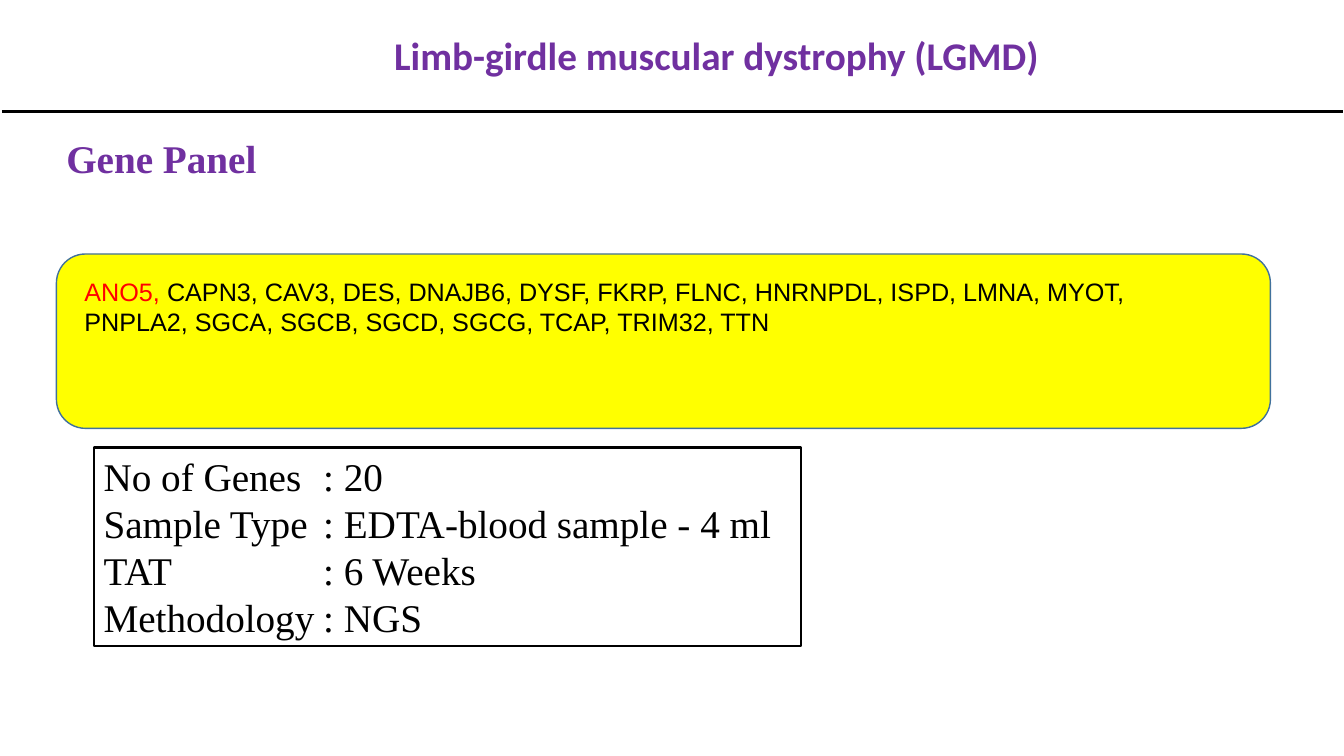
from pptx import Presentation
from pptx.dml.color import RGBColor
from pptx.enum.shapes import MSO_CONNECTOR, MSO_SHAPE
from pptx.enum.text import MSO_ANCHOR, PP_ALIGN
from pptx.oxml.ns import qn
from pptx.util import Inches, Pt
from lxml.etree import SubElement

PURPLE, BLACK, RED, YELLOW, BLUE = "7030A0", "000000", "FF0000", "FFFF00", "41719C"
SERIF = "Times New Roman"
GENES = ("CAPN3, CAV3, DES, DNAJB6, DYSF, FKRP, FLNC, HNRNPDL, ISPD, LMNA, MYOT, "
         "PNPLA2, SGCA, SGCB, SGCD, SGCG, TCAP, TRIM32, TTN")
DETAILS = [("No of Genes", "20"), ("Sample Type", "EDTA-blood sample - 4 ml"),
           ("TAT", "6 Weeks"), ("Methodology", "NGS")]


def color(value):
    """Turn a hex string into a color."""
    return RGBColor.from_string(value)


def set_font(font, name, size, value, bold=False):
    """Set the face, size, color and weight of a font."""
    font.name, font.size, font.bold = name, Pt(size), bold
    font.color.rgb = color(value)


def add_text_box(page, box):
    """Add a wrapping text box and return its text frame."""
    frame = page.shapes.add_textbox(*map(Inches, box)).text_frame
    frame.word_wrap = True
    return frame


def add_panel(page, preset, box, line, width, fill=None):
    """Add an outlined shape without shadow."""
    panel = page.shapes.add_shape(preset, *map(Inches, box))
    panel.shadow.inherit = False
    if fill:
        panel.fill.solid()
        panel.fill.fore_color.rgb = color(fill)
    else:
        panel.fill.background()
    panel.line.color.rgb = color(line)
    panel.line.width = Pt(width)
    return panel


def add_heading(page, box, text, font_name, align=PP_ALIGN.LEFT, anchor=MSO_ANCHOR.TOP):
    """Add a bold purple heading."""
    frame = add_text_box(page, box)
    frame.vertical_anchor = anchor
    para = frame.paragraphs[0]
    para.text, para.alignment = text, align
    set_font(para.font, font_name, 28, PURPLE, True)


def add_title(page, box):
    """Add the centred title with a rule under it."""
    left, top, width, height = box
    add_heading(page, (left + 1.36, top, 11.5, height),
                "Limb-girdle muscular dystrophy\u00a0(LGMD)", "Calibri",
                PP_ALIGN.CENTER, MSO_ANCHOR.MIDDLE)
    level = Inches(top + height + 0.02)
    rule = page.shapes.add_connector(MSO_CONNECTOR.STRAIGHT, Inches(left + 0.02), level,
                                     Inches(left + width), level)
    rule.line.color.rgb = color(BLACK)
    rule.line.width = Pt(2.25)
    SubElement(rule._element.spPr, qn("a:effectLst"))


def add_gene_panel(page, box):
    """Add the rounded panel that lists the genes."""
    left, top, width, height = box
    add_panel(page, MSO_SHAPE.ROUNDED_RECTANGLE, box, BLUE, 1, YELLOW)
    frame = add_text_box(page, (left + 0.18, top + 0.17, 11.5, 0.7))
    para = frame.paragraphs[0]
    set_font(para.font, "Arial", 18, BLACK)
    first = para.add_run()
    first.text = "ANO5,"
    first.font.color.rgb = color(RED)
    para.add_run().text = " " + GENES


def add_details(page, box):
    """Add the framed test details with aligned colons."""
    frame = add_panel(page, MSO_SHAPE.RECTANGLE, box, BLACK, 1.5).text_frame
    frame.word_wrap = True
    frame.vertical_anchor = MSO_ANCHOR.TOP
    for index, (label, value) in enumerate(DETAILS):
        para = frame.add_paragraph() if index else frame.paragraphs[0]
        para.text = f"{label}\t: {value}"
        para.alignment = PP_ALIGN.LEFT
        set_font(para.font, SERIF, 28, BLACK)
        stops = SubElement(para._p.get_or_add_pPr(), qn("a:tabLst"))
        SubElement(stops, qn("a:tab"), pos=str(Inches(2.18)), algn="l")
        para._p.pPr.insert(0, stops)


def build():
    """Build the slide and save the deck."""
    deck = Presentation()
    deck.slide_width, deck.slide_height = Inches(13.34), Inches(7.5)
    page = deck.slides.add_slide(deck.slide_layouts[6])
    add_title(page, (0, 0, 13.33, 1.09))
    add_gene_panel(page, (0.56, 2.52, 12.05, 1.73))
    add_details(page, (0.93, 4.44, 7.02, 1.97))
    add_heading(page, (0.56, 1.28, 3.79, 0.57), "Gene Panel", SERIF)
    deck.save("out.pptx")


build()
